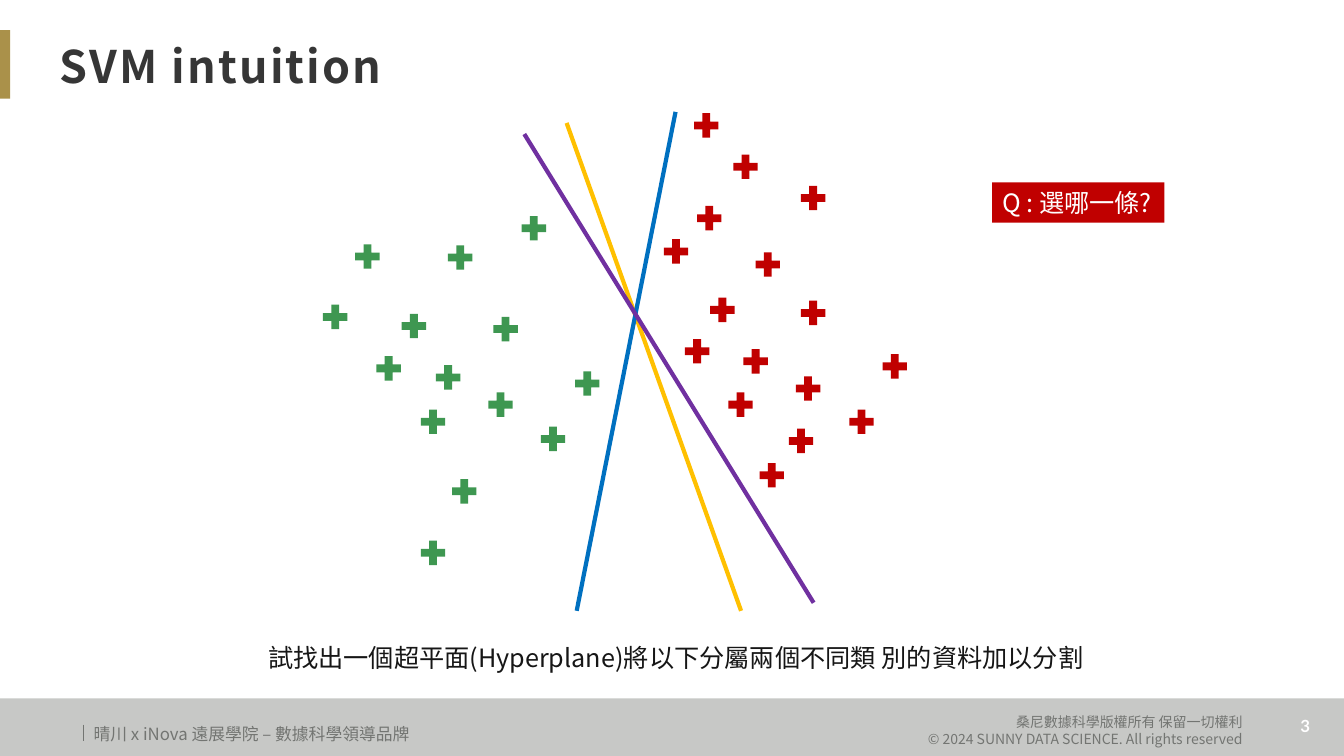
from dataclasses import dataclass

from lxml.etree import SubElement
from pptx import Presentation
from pptx.dml.color import RGBColor
from pptx.enum.shapes import MSO_CONNECTOR, MSO_SHAPE
from pptx.enum.text import MSO_ANCHOR, PP_ALIGN
from pptx.oxml.ns import qn
from pptx.util import Emu, Pt

# Content: positions are in px, 100 px to the inch
SLIDE_SIZE = (1333, 750)
TITLE = ("SVM intuition", (49, 26, 1242, 85))
TASK = ("試找出一個超平面(Hyperplane)將以下分屬兩個不同類 別的資料加以分割", (256, 632, 928, 40))
QUESTION = ("Q : 選哪一條?", (984, 181, 171, 40))
FOOTER_BAND = (0, 693, 1333, 57)
TITLE_ACCENT = (-3, 30, 13, 68)
FOOTER_RULE = (83, 719, 83, 735)
PAGE_NUMBER = ("3", (1275, 705, 39, 30))
COPYRIGHT = (
    ["桑尼數據科學版權所有 保留一切權利", "© 2024 SUNNY DATA SCIENCE. All rights reserved"],
    (768, 703, 474, 44),
)
TAGLINE = ("晴川 x iNova 遠展學院 – 數據科學領導品牌", (83, 713, 474, 30))

# Left and top of each data point, by class
MARKER_SIZE = 33
DATA_POINTS = {
    "green": [
        (394, 307), (369, 349), (428, 358), (413, 402), (485, 310), (440, 239),
        (566, 364), (532, 419), (480, 385), (444, 471), (513, 210), (348, 238),
        (413, 532), (316, 298),
    ],
    "red": [
        (700, 291), (675, 332), (733, 342), (718, 385), (790, 294), (654, 233),
        (871, 347), (838, 402), (785, 369), (749, 455), (745, 246), (687, 200),
        (778, 421), (790, 180), (723, 149), (684, 108),
    ],
}

# Candidate hyperplanes: from x, from y, to x, to y
HYPERPLANES = [
    ("yellow", (562, 122, 735, 606)),
    ("blue", (670, 111, 572, 606)),
    ("purple", (520, 133, 807, 598)),
]


@dataclass(frozen=True)
class Theme:
    green: str = "3E9751"
    red: str = "C00000"
    yellow: str = "FFC000"
    blue: str = "0070C0"
    purple: str = "7030A0"
    gold: str = "AA914A"
    band: str = "C7C8C6"
    muted: str = "737572"
    heading: str = "363636"
    text: str = "161616"
    white: str = "FFFFFF"
    font: str = "Noto Sans CJK SC"
    number_font: str = "Lato"
    title_size: int = 32
    body_size: int = 18
    footer_size: int = 12
    copyright_size: int = 10


THEME = Theme()


def px(value):
    return Emu(value * 9144)


def place(box):
    return [px(value) for value in box]


def write(shape, lines, size, color, font=THEME.font, bold=False,
          align=PP_ALIGN.LEFT, anchor=MSO_ANCHOR.TOP, wrap=True, spacing=None):
    frame = shape.text_frame
    frame.word_wrap = wrap
    frame.vertical_anchor = anchor
    frame.margin_left = frame.margin_right = px(10)
    frame.margin_top = frame.margin_bottom = px(5)
    for index, line in enumerate(lines):
        paragraph = frame.add_paragraph() if index else frame.paragraphs[0]
        paragraph.alignment = align
        run = paragraph.add_run()
        run.text = line
        run.font.size = Pt(size)
        run.font.bold = bold
        run.font.name = font
        run.font.color.rgb = RGBColor.from_string(color)
        properties = run.font._element
        SubElement(properties, qn("a:ea")).set("typeface", font)
        if spacing:
            properties.set("spc", str(spacing))


def add_filled(slide, kind, box, color):
    shape = slide.shapes.add_shape(kind, *place(box))
    shape.shadow.inherit = False
    shape.fill.solid()
    shape.fill.fore_color.rgb = RGBColor.from_string(color)
    shape.line.fill.background()
    return shape


def add_line(slide, ends, color, width):
    connector = slide.shapes.add_connector(MSO_CONNECTOR.STRAIGHT, *place(ends))
    connector.line.color.rgb = RGBColor.from_string(color)
    connector.line.width = Pt(width)
    SubElement(connector._element.spPr, qn("a:effectLst"))


def add_text(slide, lines, box, size, color, **style):
    write(slide.shapes.add_textbox(*place(box)), lines, size, color, **style)


def add_footer(slide):
    add_filled(slide, MSO_SHAPE.RECTANGLE, FOOTER_BAND, THEME.band)
    add_line(slide, FOOTER_RULE, THEME.muted, 0.5)
    number, number_box = PAGE_NUMBER
    add_text(slide, [number], number_box, THEME.footer_size, THEME.white,
             font=THEME.number_font, bold=True, align=PP_ALIGN.CENTER, wrap=False)
    notice, notice_box = COPYRIGHT
    add_text(slide, notice, notice_box, THEME.copyright_size, THEME.muted,
             align=PP_ALIGN.RIGHT)
    tagline, tagline_box = TAGLINE
    add_text(slide, [tagline], tagline_box, THEME.footer_size, THEME.muted)


def add_title(slide):
    text, box = TITLE
    add_filled(slide, MSO_SHAPE.RECTANGLE, TITLE_ACCENT, THEME.gold)
    title = slide.shapes.title
    title.left, title.top, title.width, title.height = place(box)
    write(title, [text], THEME.title_size, THEME.heading, bold=True,
          anchor=MSO_ANCHOR.MIDDLE, spacing=150)
    title.text_frame.paragraphs[0].line_spacing = 0.9


def add_diagram(slide):
    for color, points in DATA_POINTS.items():
        for left, top in points:
            add_filled(slide, MSO_SHAPE.MATH_PLUS,
                       (left, top, MARKER_SIZE, MARKER_SIZE), getattr(THEME, color))
    for color, ends in HYPERPLANES:
        add_line(slide, ends, getattr(THEME, color), 3)


def main():
    presentation = Presentation()
    presentation.slide_width, presentation.slide_height = place(SLIDE_SIZE)
    slide = presentation.slides.add_slide(presentation.slide_layouts[5])
    add_footer(slide)
    add_title(slide)
    add_diagram(slide)

    # Task statement and question
    task, task_box = TASK
    add_text(slide, [task], task_box, THEME.body_size, THEME.text)
    question, question_box = QUESTION
    callout = add_filled(slide, MSO_SHAPE.RECTANGLE, question_box, THEME.red)
    write(callout, [question], THEME.body_size, THEME.white)
    presentation.save("out.pptx")


if __name__ == "__main__":
    main()
